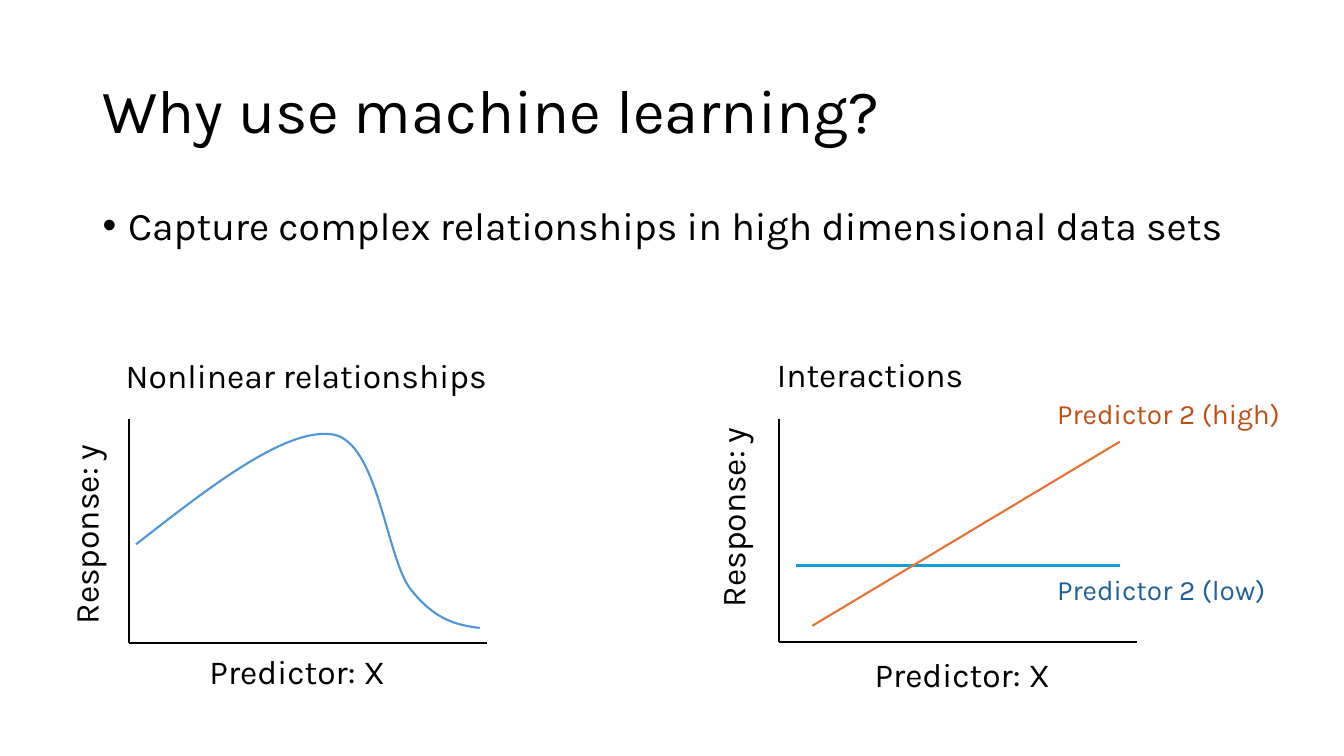
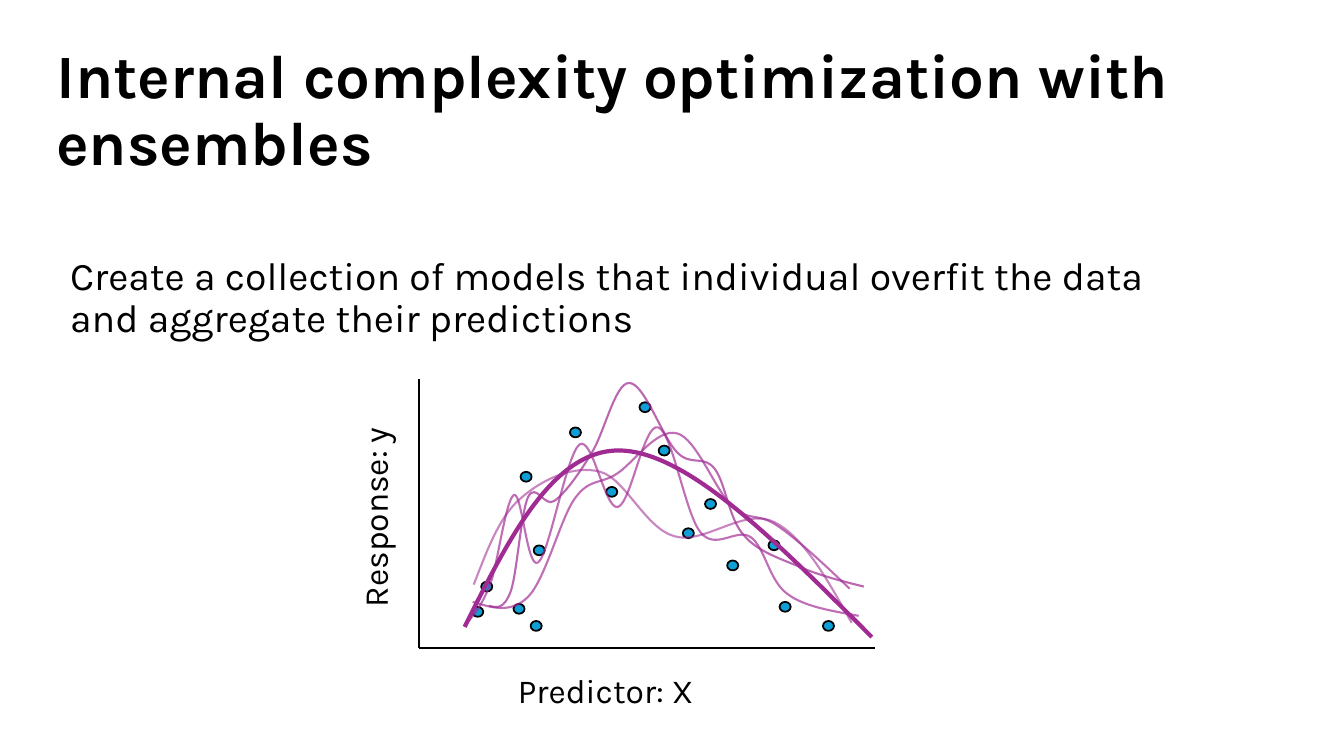
from dataclasses import dataclass

import lxml.etree
import pptx
import pptx.dml.color
import pptx.enum.shapes
import pptx.enum.text
import pptx.oxml.ns
import pptx.slide
import pptx.util

Cm = pptx.util.Cm
Pt = pptx.util.Pt
qn = pptx.oxml.ns.qn

FONT = "Karla"
COLORS = {
    "ink": "000000",
    "curve": "4E95D9",
    "low": "0F9ED5",
    "low_label": "215F9A",
    "high": "E97132",
    "high_label": "C04F15",
    "model": "A02B93",
}
PLOT_UNIT = Cm(2.54)  # curve and observation coordinates count in this unit
Point = tuple[float, float]


@dataclass(frozen=True)
class Box:
    left: float
    top: float
    width: float
    height: float


@dataclass(frozen=True)
class Plot:
    """Axes with their corner at (left, bottom), and the axis label boxes."""
    left: float
    bottom: float
    width: float
    height: float
    x_label: Box
    y_label: Box


@dataclass(frozen=True)
class Curve:
    """Start point, then two control points and an end point per segment."""
    points: tuple[Point, ...]
    color: str = "model"
    weight: float = 1.5
    opacity: int = 100


NONLINEAR = Plot(3.25, 16.2, 9.02, 5.63, Box(5.03, 16.28, 5.46, 1.27), Box(-0.58, 12.62, 5.46, 1.27))
INTERACTIONS = Plot(19.63, 16.18, 9.02, 5.63, Box(21.79, 16.36, 5.46, 1.27), Box(15.72, 12.19, 5.46, 1.27))
ENSEMBLE = Plot(10.57, 16.33, 11.48, 6.78, Box(12.8, 16.76, 6.99, 1.27), Box(6.15, 11.63, 6.58, 1.27))

HUMP = Curve((
    (1.35, 5.4), (2.09, 4.82), (2.84, 4.24), (3.3, 4.31), (3.75, 4.38),
    (3.83, 5.52), (4.07, 5.84), (4.32, 6.16), (4.54, 6.2), (4.76, 6.23)), "curve")

MODELS = (
    Curve((
        (4.65, 6.16), (4.72, 6.08), (4.79, 5.99), (4.87, 5.78), (4.94, 5.58), (5.02, 4.95), (5.1, 4.91),
        (5.18, 4.88), (5.23, 5.66), (5.34, 5.58), (5.45, 5.5), (5.62, 4.51), (5.75, 4.41),
        (5.88, 4.32), (6, 5.06), (6.13, 5.03), (6.26, 5), (6.39, 4.19), (6.53, 4.24),
        (6.67, 4.28), (6.8, 5.1), (6.95, 5.28), (7.1, 5.47), (7.31, 5.23), (7.45, 5.33),
        (7.59, 5.43), (7.63, 5.76), (7.81, 5.89), (7.98, 6.02), (8.25, 6.06), (8.52, 6.11)), opacity=68),
    Curve((
        (4.85, 6.01), (4.93, 6.03), (5, 6.05), (5.07, 5.86), (5.13, 5.68), (5.17, 5.08), (5.24, 4.93),
        (5.32, 4.78), (5.4, 5.04), (5.5, 4.97), (5.6, 4.9), (5.74, 4.71), (5.86, 4.51),
        (5.99, 4.32), (6.1, 3.8), (6.24, 3.8), (6.39, 3.79), (6.57, 4.34), (6.72, 4.49),
        (6.86, 4.63), (6.98, 4.51), (7.09, 4.65), (7.2, 4.79), (7.23, 5.15), (7.38, 5.31),
        (7.52, 5.48), (7.77, 5.55), (7.97, 5.64), (8.17, 5.72), (8.37, 5.77), (8.57, 5.82)), opacity=71),
    Curve((
        (4.69, 5.97), (4.88, 6.03), (5.07, 6.09), (5.24, 5.92), (5.41, 5.75), (5.56, 5.15), (5.7, 4.95),
        (5.85, 4.74), (5.95, 4.81), (6.12, 4.7), (6.29, 4.59), (6.52, 4.24), (6.72, 4.3),
        (6.91, 4.35), (7.1, 4.87), (7.27, 5.03), (7.44, 5.18), (7.52, 5.08), (7.72, 5.22),
        (7.91, 5.35), (8.17, 5.59), (8.43, 5.84)), opacity=67),
    Curve((
        (4.7, 5.8), (4.83, 5.47), (4.95, 5.13), (5.16, 4.95), (5.37, 4.76), (5.69, 4.61), (5.95, 4.68),
        (6.2, 4.74), (6.4, 5.24), (6.69, 5.32), (6.98, 5.41), (7.38, 5.03), (7.68, 5.18),
        (7.97, 5.32), (8.21, 5.75), (8.45, 6.18)), opacity=57),
    Curve((
        (4.61, 6.22), (5.05, 5.34), (5.49, 4.45), (6.16, 4.47),
        (6.84, 4.49), (7.74, 5.41), (8.65, 6.32)), weight=3),
)

OBSERVATIONS = (
    (4.74, 6.07), (4.83, 5.82), (5.15, 6.04), (5.22, 4.73), (5.35, 5.46), (8.22, 6.21),
    (6.07, 4.88), (5.71, 4.29), (6.83, 5.29), (6.4, 4.04), (6.59, 4.47), (7.05, 5),
    (7.27, 5.61), (7.68, 5.41), (7.79, 6.02), (5.32, 6.21),
)


def rgb(name: str) -> pptx.dml.color.RGBColor:
    return pptx.dml.color.RGBColor.from_string(COLORS[name])


def add_text(slide: pptx.slide.Slide, text: str, box: Box, *, size: float = 24, color: str = "ink",
             bold: bool = False, bullet: bool = False, middle: bool = False,
             spacing: float = 1.0, rotation: float = 0) -> None:
    holder = slide.shapes.add_textbox(Cm(box.left), Cm(box.top), Cm(box.width), Cm(box.height))
    holder.rotation = rotation
    frame = holder.text_frame
    frame.word_wrap = True
    if middle:
        frame.vertical_anchor = pptx.enum.text.MSO_ANCHOR.MIDDLE
    paragraph = frame.paragraphs[0]
    if bullet:
        properties = paragraph._p.get_or_add_pPr()
        properties.set("marL", str(Cm(0.64)))
        properties.set("indent", str(-Cm(0.64)))
        lxml.etree.SubElement(properties, qn("a:buFont"), typeface="Arial")
        lxml.etree.SubElement(properties, qn("a:buChar"), char="•")
    paragraph.line_spacing = spacing
    run = paragraph.add_run()
    run.text = text
    run.font.name = FONT
    run.font.size = Pt(size)
    run.font.bold = bold
    run.font.color.rgb = rgb(color)


def add_title(slide: pptx.slide.Slide, text: str, box: Box, bold: bool = False) -> None:
    add_text(slide, text, box, size=44, bold=bold, middle=True, spacing=0.9)


def add_body(slide: pptx.slide.Slide, text: str, box: Box, bullet: bool = False) -> None:
    add_text(slide, text, box, size=28, bullet=bullet, spacing=0.9)


def add_line(slide: pptx.slide.Slide, start: Point, end: Point, color: str = "ink") -> None:
    line = slide.shapes.add_connector(
        pptx.enum.shapes.MSO_CONNECTOR.STRAIGHT, Cm(start[0]), Cm(start[1]), Cm(end[0]), Cm(end[1]))
    line.line.color.rgb = rgb(color)
    line.line.width = Pt(1.5)
    lxml.etree.SubElement(line._element.spPr, qn("a:effectLst"))


def add_axes(slide: pptx.slide.Slide, plot: Plot) -> None:
    corner = (plot.left, plot.bottom)
    add_line(slide, (plot.left, plot.bottom - plot.height), corner)
    add_line(slide, (plot.left + plot.width, plot.bottom), corner)
    add_text(slide, "Predictor: X", plot.x_label)
    add_text(slide, "Response: y", plot.y_label, rotation=270)


def add_curve(slide: pptx.slide.Slide, curve: Curve) -> None:
    """Draw the points as a freeform and turn each three line steps into a Bézier."""
    start, *rest = [(round(x * PLOT_UNIT), round(y * PLOT_UNIT)) for x, y in curve.points]
    builder = slide.shapes.build_freeform(*start)
    builder.add_line_segments(rest, close=False)
    shape = builder.convert_to_shape()
    shape.shadow.inherit = False
    shape.fill.background()
    shape.line.color.rgb = rgb(curve.color)
    shape.line.width = Pt(curve.weight)

    outline = next(shape._element.iter(qn("a:path")))
    steps = outline.findall(qn("a:lnTo"))
    for first in range(0, len(steps), 3):
        bezier = lxml.etree.SubElement(outline, qn("a:cubicBezTo"))
        for step in steps[first:first + 3]:
            bezier.append(step[0])
            outline.remove(step)
    if curve.opacity < 100:
        stroke = next(shape._element.spPr.find(qn("a:ln")).iter(qn("a:srgbClr")))
        lxml.etree.SubElement(stroke, qn("a:alpha"), val=str(curve.opacity * 1000))


def add_observation(slide: pptx.slide.Slide, center: Point) -> None:
    width, height = Cm(0.28), Cm(0.25)
    dot = slide.shapes.add_shape(
        pptx.enum.shapes.MSO_SHAPE.OVAL,
        round(center[0] * PLOT_UNIT - width / 2), round(center[1] * PLOT_UNIT - height / 2), width, height)
    dot.shadow.inherit = False
    dot.fill.solid()
    dot.fill.fore_color.rgb = rgb("low")
    dot.line.color.rgb = rgb("ink")
    dot.line.width = Pt(1.25)


def build_motivation(slide: pptx.slide.Slide) -> None:
    add_title(slide, "Why use machine learning?", Box(2.34, 1.02, 29.21, 3.68))
    add_body(slide, "Capture complex relationships in high dimensional data sets",
             Box(2.34, 5.08, 29.21, 12.09), bullet=True)

    add_axes(slide, NONLINEAR)
    add_curve(slide, HUMP)
    add_text(slide, "Nonlinear relationships", Box(2.92, 8.81, 10.85, 1.27))

    add_axes(slide, INTERACTIONS)
    add_text(slide, "Interactions", Box(19.33, 8.79, 10.85, 1.27))
    add_line(slide, (20.07, 14.25), (28.22, 14.25), "low")
    add_line(slide, (20.47, 15.77), (28.22, 11.13), "high")
    for level, top in (("low", 14.3), ("high", 9.86)):
        add_text(slide, f"Predictor 2 ({level})", Box(26.39, top, 6.99, 1.12),
                 size=20, color=f"{level}_label")


def build_ensembles(slide: pptx.slide.Slide) -> None:
    add_title(slide, "Internal complexity optimization with ensembles", Box(1.17, 0.99, 31.55, 3.68), bold=True)
    add_body(slide, "Create a collection of models that individual overfit the data "
             "and aggregate their predictions", Box(1.52, 6.34, 29.21, 11.87))
    add_axes(slide, ENSEMBLE)
    for center in OBSERVATIONS:
        add_observation(slide, center)
    for model in MODELS:
        add_curve(slide, model)


def main() -> None:
    deck = pptx.Presentation()
    deck.slide_width, deck.slide_height = Cm(33.87), Cm(19.05)
    blank = deck.slide_layouts[6]
    for build in (build_motivation, build_ensembles):
        build(deck.slides.add_slide(blank))
    deck.save("out.pptx")


if __name__ == "__main__":
    main()
